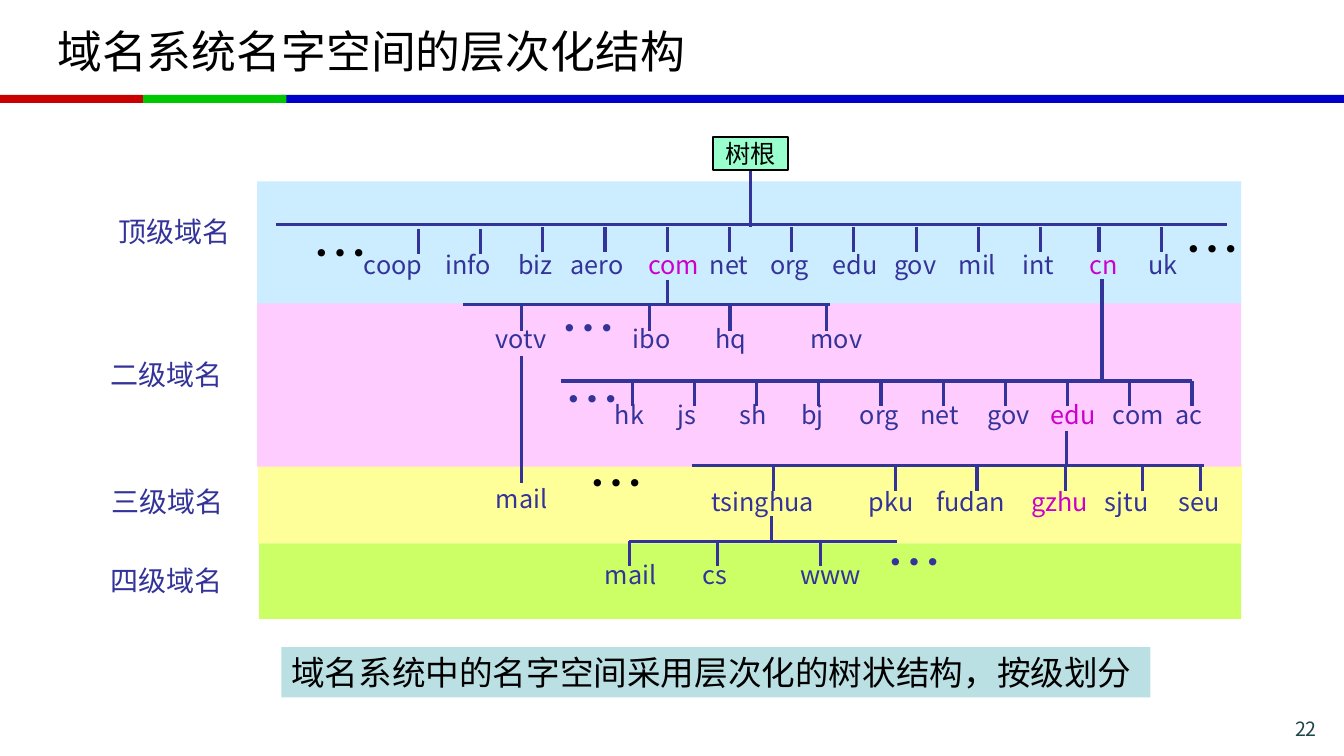
from lxml import etree
from pptx import Presentation
from pptx.dml.color import RGBColor
from pptx.enum.shapes import MSO_CONNECTOR, MSO_SHAPE
from pptx.enum.text import MSO_ANCHOR, MSO_AUTO_SIZE, PP_ALIGN
from pptx.oxml.ns import qn
from pptx.util import Inches, Pt

FONT = "Noto Sans CJK SC"
BLACK = RGBColor(0x00, 0x00, 0x00)
INDIGO = RGBColor(0x33, 0x33, 0x99)
MAGENTA = RGBColor(0xCC, 0x00, 0xCC)
SLATE = RGBColor(0x1E, 0x46, 0x49)
RED = RGBColor(0xC8, 0x00, 0x00)
GREEN = RGBColor(0x00, 0xC8, 0x00)
BLUE = RGBColor(0x00, 0x00, 0xC8)
YELLOW = RGBColor(0xFF, 0xFF, 0x99)
LIME = RGBColor(0xCC, 0xFF, 0x66)
PINK = RGBColor(0xFF, 0xCC, 0xFF)
SKY = RGBColor(0xCC, 0xEC, 0xFF)
MINT = RGBColor(0x99, 0xFF, 0xCC)
TEAL = RGBColor(0xBB, 0xE0, 0xE3)

STEP = 0.617  # distance between neighbouring branches
TICK = 0.25

STRIPES = [
    (2.79, 0.94, 10.54, 0.08, BLUE),
    (0, 0.94, 1.42, 0.08, RED),
    (1.42, 0.94, 1.42, 0.08, GREEN),
]
BANDS = [
    (2.56, 4.6, 9.76, 0.79, YELLOW),
    (2.57, 5.39, 9.74, 0.75, LIME),
    (2.55, 2.95, 9.76, 1.68, PINK),
    (2.55, 1.8, 9.76, 1.21, SKY),
]
LEVELS = [("顶级域名", 1.08, 2.08), ("二级域名", 1, 3.5),
          ("三级域名", 1.01, 4.76), ("四级域名", 1, 5.54)]

# Horizontal bars: left, right, y
BARS = [(2.74, 12.17, 2.23), (4.59, 8.23, 3.02), (5.56, 11.82, 3.78),
        (6.86, 11.94, 4.62), (6.24, 8.9, 5.37)]
# Stems from a parent name to its children: x, top, bottom
STEMS = [(7.44, 1.68, 2.25), (6.62, 2.78, 3.03), (10.93, 2.77, 3.78),
         (5.17, 3.53, 4.79), (10.58, 4.28, 4.62), (7.65, 5.12, 5.37)]
# Short branches: top, x positions
TICKS = [
    (2.27, [4.15, 4.15 + STEP]),
    (2.25, [4.15 + STEP * i for i in range(2, 11)] + [10.9, 11.52]),
    (3.03, [5.17, 6.44, 7.24, 8.2]),
    (3.78, [6.27 + STEP * i for i in range(10)]),
    (4.62, [7.67, 8.88, 9.69, 10.57, 11.33, 11.91]),
    (5.37, [6.24, 7.12, 8.14]),
]
# Rows of domain names: top, (name, left, width)
ROWS = [
    (2.42, [("coop", 3.51, 0.85), ("info", 4.32, 0.7), ("biz", 5.04, 0.57),
            ("aero", 5.56, 0.77), ("com", 6.33, 0.76), ("net", 6.94, 0.62),
            ("org", 7.54, 0.64), ("edu", 8.16, 0.69), ("gov", 8.77, 0.68),
            ("mil", 9.41, 0.59), ("int", 10.04, 0.54), ("cn", 10.71, 0.5),
            ("uk", 11.29, 0.51)]),
    (3.16, [("votv", 4.82, 0.71), ("ibo", 6.18, 0.7), ("hq", 7, 0.54),
            ("mov", 7.94, 0.72)]),
    (3.91, [("hk", 6, 0.51), ("js", 6.62, 0.39), ("sh", 7.24, 0.49),
            ("bj", 7.85, 0.44), ("org", 8.43, 0.64), ("net", 9.03, 0.62),
            ("gov", 9.7, 0.68), ("edu", 10.32, 0.69), ("com", 10.94, 0.76),
            ("ac", 11.56, 0.48)]),
    (4.78, [("tsinghua", 6.96, 1.32), ("pku", 8.52, 0.68),
            ("fudan", 9.19, 0.95), ("gzhu", 10.13, 0.84),
            ("sjtu", 10.86, 0.66), ("seu", 11.59, 0.64)]),
    (4.75, [("mail", 4.82, 0.74)]),
    (5.5, [("mail", 5.9, 0.74), ("cs", 6.87, 0.46), ("www", 7.84, 0.84)]),
]
# Names on the highlighted paths: name, top of its row
HIGHLIGHTS = {("com", 2.42), ("cn", 2.42), ("edu", 3.91), ("gzhu", 4.78)}
ELLIPSES = [(3, 2.12, BLACK), (11.65, 2.08, BLACK), (5.46, 2.86, INDIGO),
            (5.5, 3.57, INDIGO), (5.74, 4.4, BLACK), (8.69, 5.18, INDIGO)]


def write(sp, text, size, color, align=PP_ALIGN.LEFT):
    p = sp.text_frame.paragraphs[0]
    p.text = text
    p.alignment = align
    r = p.runs[0]
    r.font.size = Pt(size)
    r.font.name = FONT
    r.font.color.rgb = color
    etree.SubElement(r.font._element, qn("a:ea"), typeface=FONT)


def add_text(s, text, x, y, w, h, size, color, grow=True):
    sp = s.shapes.add_textbox(Inches(x), Inches(y), Inches(w), Inches(h))
    tf = sp.text_frame
    tf.word_wrap = True
    tf.auto_size = MSO_AUTO_SIZE.SHAPE_TO_FIT_TEXT if grow else MSO_AUTO_SIZE.NONE
    write(sp, text, size, color)
    return sp


def add_rect(s, x, y, w, h, fill):
    sp = s.shapes.add_shape(MSO_SHAPE.RECTANGLE, Inches(x), Inches(y),
                            Inches(w), Inches(h))
    sp.shadow.inherit = False
    sp.fill.solid()
    sp.fill.fore_color.rgb = fill
    sp.line.fill.background()
    return sp


def add_line(s, x1, y1, x2, y2):
    line = s.shapes.add_connector(MSO_CONNECTOR.STRAIGHT, Inches(x1), Inches(y1),
                                  Inches(x2), Inches(y2))
    line.line.color.rgb = INDIGO
    line.line.width = Pt(2.25)
    etree.SubElement(line._element.spPr, qn("a:effectLst"))


def add_tree_lines(s):
    for left, right, y in BARS:
        add_line(s, left, y, right, y)
    for x, top, bottom in STEMS:
        add_line(s, x, top, x, bottom)
    for top, xs in TICKS:
        for x in xs:
            add_line(s, x, top, x, top + TICK)


def add_names(s):
    for top, names in ROWS:
        for name, left, width in names:
            color = MAGENTA if (name, top) in HIGHLIGHTS else INDIGO
            add_text(s, name, left, top, width, 0.4, 18, color)
    for left, top, color in ELLIPSES:
        add_text(s, "…", left, top, 0.68, 0.77, 40, color)
    for level, left, top in LEVELS:
        add_text(s, level, left, top, 1.5, 0.43, 20, INDIGO)


def add_root(s):
    root = add_rect(s, 7.07, 1.36, 0.75, 0.33, MINT)
    root.line.color.rgb = BLACK
    root.line.width = Pt(1.5)
    root.text_frame.word_wrap = False
    root.text_frame.vertical_anchor = MSO_ANCHOR.MIDDLE
    write(root, "树根", 18, BLACK, PP_ALIGN.CENTER)


def add_summary(s):
    summary = add_rect(s, 2.79, 6.42, 8.62, 0.5, TEAL)
    tf = summary.text_frame
    tf.word_wrap = False
    tf.vertical_anchor = MSO_ANCHOR.MIDDLE
    write(summary, "域名系统中的名字空间采用层次化的树状结构，按级划分", 24, BLACK)


def main():
    prs = Presentation()
    prs.slide_width, prs.slide_height = Inches(13.33), Inches(7.5)
    s = prs.slides.add_slide(prs.slide_layouts[6])
    for rect in STRIPES + BANDS:
        add_rect(s, *rect)
    title = add_text(s, "域名系统名字空间的层次化结构", 0.47, 0.08, 12.39, 0.84,
                     32, BLACK, grow=False)
    title.text_frame.vertical_anchor = MSO_ANCHOR.MIDDLE
    number = add_text(s, "22", 11.86, 7.06, 1.3, 0.28, 14, SLATE, grow=False)
    number.text_frame.paragraphs[0].alignment = PP_ALIGN.RIGHT
    add_tree_lines(s)
    add_names(s)
    add_root(s)
    add_summary(s)
    prs.save("out.pptx")


if __name__ == "__main__":
    main()
